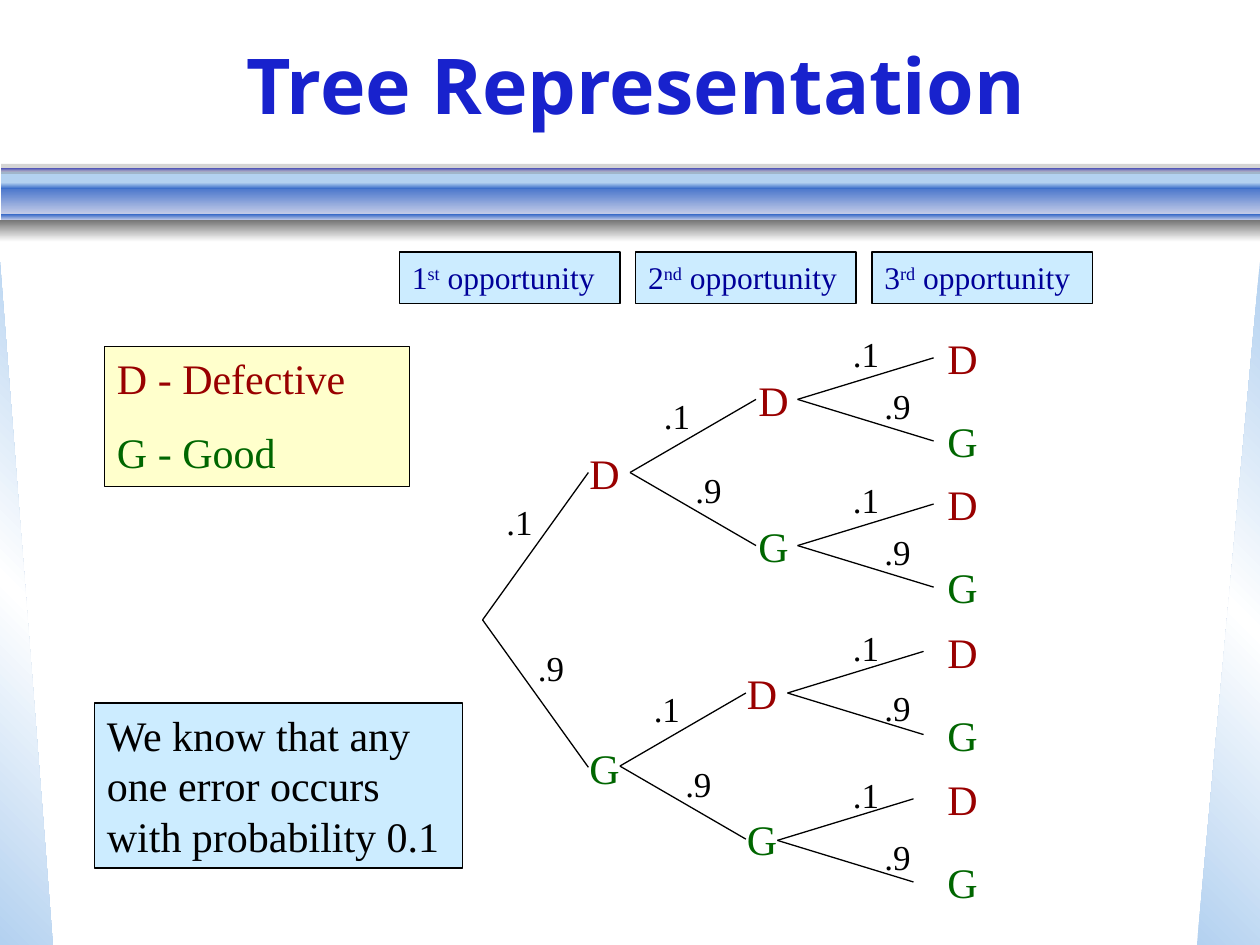
import copy

import pptx
import pptx.dml.color
import pptx.enum.shapes
import pptx.enum.text
import pptx.oxml
import pptx.oxml.ns
import pptx.util
from pptx.util import Inches

COLORS = {
    "title": "1822CD", "defective": "990000", "good": "006600", "heading": "000099",
    "ink": "000000", "cream": "FFFFCC", "pale": "CCECFF", "sky": "B3D1F0",
    "blue": "3568C7", "mist": "CAD0E9", "lilac": "BABBE7", "gray": "777777",
    "white": "FFFFFF",
}
SHAPES = pptx.enum.shapes.MSO_SHAPE
ANCHOR = pptx.enum.text.MSO_ANCHOR
ALIGN = pptx.enum.text.PP_ALIGN


def rgb(name):
    return pptx.dml.color.RGBColor.from_string(COLORS[name])


class TreeSlide:
    """Draws the elements of one slide in a shared style."""

    font = "Times New Roman"
    line_width = pptx.util.Pt(0.75)

    def __init__(self, slide):
        self.slide = slide

    def fill_frame(self, frame, paragraphs, size, anchor=ANCHOR.TOP, align=ALIGN.LEFT,
                   font=None, bold=False, gap=13.5):
        for key, value in {"word_wrap": True, "vertical_anchor": anchor}.items():
            setattr(frame, key, value)
        for index, runs in enumerate(paragraphs):
            paragraph = frame.add_paragraph() if index else frame.paragraphs[0]
            paragraph.alignment = align
            if index:
                paragraph.space_before = pptx.util.Pt(gap)
            for content, color, *baseline in runs:
                run = paragraph.add_run()
                run.text = content
                style = {"name": font or self.font, "size": pptx.util.Pt(size), "bold": bold}
                for key, value in style.items():
                    setattr(run.font, key, value)
                run.font.color.rgb = rgb(color)
                if baseline:
                    run.font._element.set("baseline", str(baseline[0]))

    def text(self, box, content, color, size, **style):
        frame = self.slide.shapes.add_textbox(*map(Inches, box)).text_frame
        self.fill_frame(frame, [[(content, color)]], size, **style)

    def shape(self, box, fill, kind=SHAPES.RECTANGLE, angle=270, alpha=None, flip=False):
        shape = self.slide.shapes.add_shape(kind, *map(Inches, box))
        shape.shadow.inherit = False
        shape.line.fill.background()
        if len(fill) == 1:
            shape.fill.solid()
            shape.fill.fore_color.rgb = rgb(fill[0])
        else:
            self.gradient(shape, fill, angle)
        if alpha:
            color = shape._element.spPr.find(".//" + pptx.oxml.ns.qn("a:srgbClr"))
            color.append(pptx.oxml.parse_xml(
                f'<a:alpha {pptx.oxml.ns.nsdecls("a")} val="{alpha * 1000}"/>'))
        if flip:
            shape._element.spPr.xfrm.set("flipH", "1")
        return shape

    def gradient(self, shape, fill, angle):
        shape.fill.gradient()
        shape.fill.gradient_angle = angle
        stops = shape._element.spPr.find(".//" + pptx.oxml.ns.qn("a:gsLst"))
        while len(stops) < len(fill):
            stops.append(copy.deepcopy(stops[-1]))
        for index, (stop, name) in enumerate(zip(shape.fill.gradient_stops, fill)):
            stop.color.rgb = rgb(name)
            stop.position = index / (len(fill) - 1)

    def panel(self, box, fill, paragraphs, size):
        panel = self.shape(box, [fill])
        panel.line.color.rgb = rgb("ink")
        panel.line.width = self.line_width
        self.fill_frame(panel.text_frame, paragraphs, size)

    def line(self, start, end):
        line = self.slide.shapes.add_connector(
            pptx.enum.shapes.MSO_CONNECTOR.STRAIGHT, *map(Inches, start + end))
        line.line.color.rgb = rgb("ink")
        line.line.width = self.line_width
        line._element.spPr.append(pptx.oxml.parse_xml(
            f'<a:effectLst {pptx.oxml.ns.nsdecls("a")}/>'))

    def branch(self, x, y, run, rise, node_left, label_left, label_rises):
        outcomes = [("D", "defective", ".1", -rise), ("G", "good", ".9", rise)]
        for index, (node, color, chance, step) in enumerate(outcomes):
            self.line((x, y), (x + run, y + step))
            self.text((node_left, y + step - 0.25, 0.42, 0.5), node, color, 24)
            label_box = (label_left + 0.25 * index, y + label_rises[index], 0.42, 0.43)
            self.text(label_box, chance, "ink", 20)


def main():
    deck = pptx.Presentation()
    deck.slide_width, deck.slide_height = Inches(10), Inches(7.5)
    tree = TreeSlide(deck.slides.add_slide(deck.slide_layouts[6]))

    sheen = ["sky", "white", "sky"]
    tree.shape((0, 2.08, 0.42, 5.42), sheen, SHAPES.RIGHT_TRIANGLE, angle=45)
    tree.shape((9.5, 2.08, 0.5, 5.42), sheen, SHAPES.RIGHT_TRIANGLE, angle=315, flip=True)
    bands = [
        (1.36, 0.1, ["sky"]),
        (1.46, 0.25, ["blue", "mist"]),
        (1.33, 0.03, ["title", "lilac"]),
        (1.7, 0.05, ["blue", "mist"]),
        (1.45, 0.05, ["sky", "blue"]),
    ]
    for top, height, fill in bands:
        tree.shape((0.01, top, 9.99, height), fill)
    tree.shape((0, 1.75, 10, 0.17), ["gray", "white"])
    tree.shape((0.01, 1.3, 9.99, 0.08), ["gray"], alpha=31)

    tree.text((0.17, 0.08, 9.75, 1.17), "Tree Representation", "title", 44,
              anchor=ANCHOR.MIDDLE, align=ALIGN.CENTER, font="Noto Sans", bold=True)

    tree.branch(3.83, 4.92, 0.84, 1.17, 4.58, 3.92, (-1, 0.16))
    for x, y, node_left in [(5, 3.75, 5.92), (4.92, 6.08, 5.83)]:
        tree.branch(x, y, 1, 0.58, node_left, x + 0.17, (-0.67, -0.08))
    last_branches = [
        (6.33, 3.17, -0.17), (6.33, 4.33, -0.17), (6.25, 5.5, -0.1), (6.17, 6.67, -0.09),
    ]
    for x, y, good_rise in last_branches:
        tree.branch(x, y, 1.08, 0.33, 7.42, 6.67, (-0.58, good_rise))

    legend = [[("D - Defective", "defective")], [("G - Good", "good")]]
    tree.panel((0.83, 2.75, 2.42, 1.11), "cream", legend, 24)
    for index, (number, suffix) in enumerate([("1", "st"), ("2", "nd"), ("3", "rd")]):
        heading = [(number, "heading"), (suffix, "heading", 30000), (" opportunity", "heading")]
        tree.panel((3.17 + 1.875 * index, 2, 1.75, 0.41), "pale", [heading], 18)
    known = "We know that any one error occurs with probability 0.1"
    tree.panel((0.75, 5.58, 2.92, 1.31), "pale", [[(known, "ink")]], 24)

    deck.save("out.pptx")


if __name__ == "__main__":
    main()
